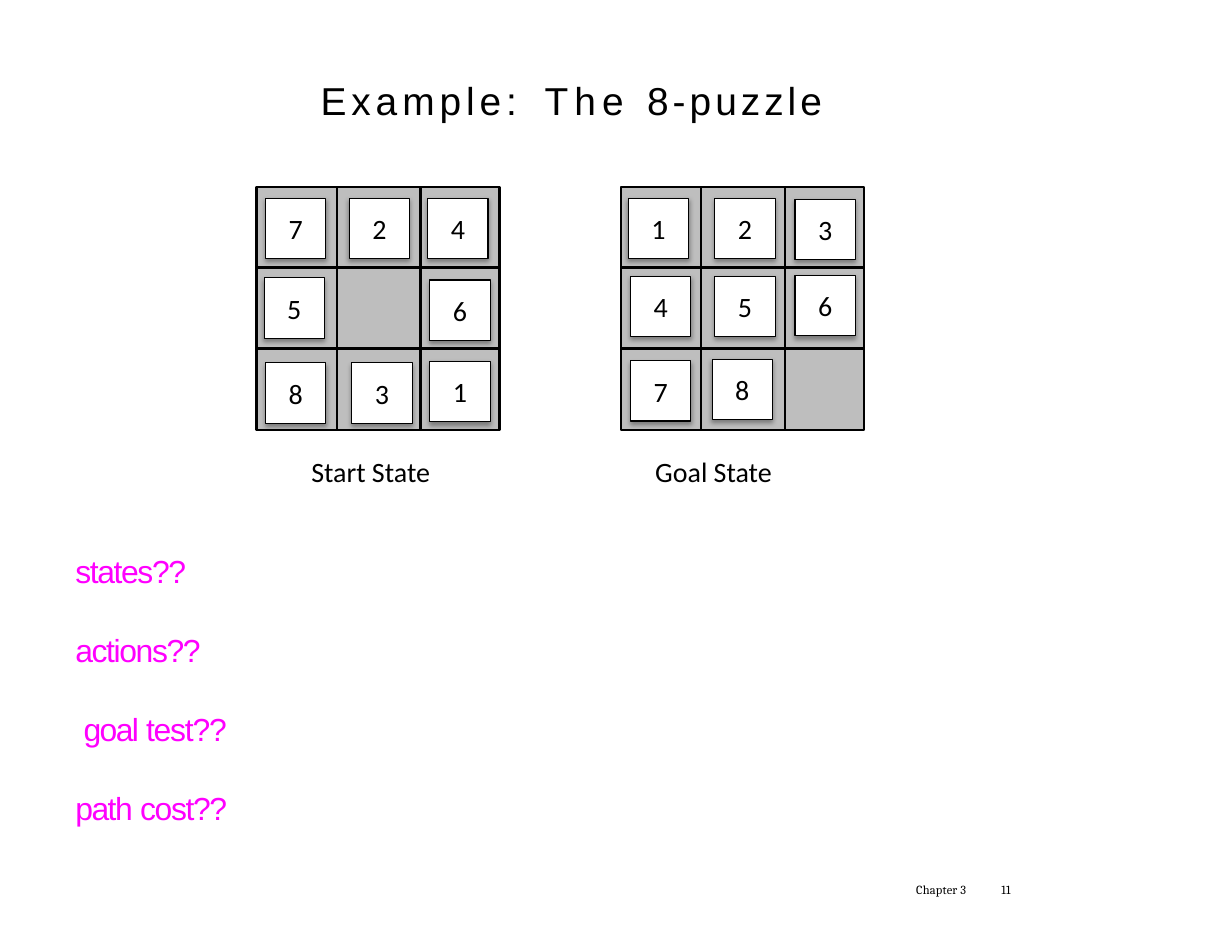
from lxml import etree
from pptx import Presentation
from pptx.dml.color import RGBColor
from pptx.enum.shapes import MSO_CONNECTOR, MSO_SHAPE
from pptx.enum.text import MSO_ANCHOR, PP_ALIGN
from pptx.oxml.ns import qn
from pptx.util import Cm, Pt


def paint(color_format, value):
    color_format.rgb = RGBColor.from_string(value)


def add_span(para, text, font, size, color="000000", spacing=0):
    span = para.add_run()
    span.text = text
    span.font.name = font
    span.font.size = Pt(size)
    paint(span.font.color, color)
    if spacing:
        span._r.get_or_add_rPr().set("spc", str(round(spacing * 100)))


deck = Presentation()
deck.slide_width = Cm(27.94)
deck.slide_height = Cm(21.59)
page = deck.slides.add_slide(deck.slide_layouts[6])
shapes = page.shapes

title = shapes.add_shape(MSO_SHAPE.RECTANGLE, Cm(1.73), Cm(1.93), Cm(21.44), Cm(3.61))
title.shadow.inherit = False
title.fill.background()
paint(title.line.color, "FFFFFF")
title.line.width = Pt(4.08)
frame = title.text_frame
frame.margin_left = frame.margin_top = frame.margin_right = frame.margin_bottom = 0
frame.vertical_anchor = MSO_ANCHOR.TOP
para = frame.paragraphs[0]
para.alignment = PP_ALIGN.LEFT
para.line_spacing = Pt(24.3)
para._p.get_or_add_pPr().set("marL", str(Cm(5.54)))
for text, spacing in [("Example:\t", 3.2), ("The ", 4), ("8-puzzle", 2.6)]:
    add_span(para, text, "Arial", 25, spacing=spacing)

board_top, board_side, tile_side = 4.24, 5.51, 1.37
boards = [
    (5.82, "Start State", 6.81, [
        ("7", 6.02, 4.5), ("2", 7.92, 4.5), ("4", 9.7, 4.5),
        ("5", 5.99, 6.3), ("6", 9.75, 6.35),
        ("8", 6.02, 8.23), ("3", 7.98, 8.23), ("1", 9.75, 8.2),
    ]),
    (14.08, "Goal State", 14.61, [
        ("1", 14.25, 4.5), ("2", 16.21, 4.5), ("3", 18.03, 4.52),
        ("4", 14.3, 6.27), ("5", 16.21, 6.27), ("6", 18.03, 6.25),
        ("7", 14.3, 8.18), ("8", 16.15, 8.15),
    ]),
]

for board_left, label, label_left, tiles in boards:
    board = shapes.add_shape(
        MSO_SHAPE.RECTANGLE, Cm(board_left), Cm(board_top), Cm(board_side), Cm(board_side)
    )
    board.shadow.inherit = False
    board.fill.solid()
    paint(board.fill.fore_color, "BEBEBE")
    paint(board.line.color, "000000")
    board.line.width = Pt(1.53)

    right, bottom = board_left + board_side, board_top + board_side
    dividers = [(board_left + x, board_top, board_left + x, bottom) for x in (1.82, 3.72)]
    dividers += [(board_left, board_top + y, right, board_top + y) for y in (1.83, 3.66)]
    for ends in dividers:
        divider = shapes.add_connector(MSO_CONNECTOR.STRAIGHT, *[Cm(end) for end in ends])
        paint(divider.line.color, "000000")
        divider.line.width = Pt(1.53)
        etree.SubElement(divider._element.spPr, qn("a:effectLst"))

    for number, left, top in tiles:
        tile = shapes.add_shape(
            MSO_SHAPE.RECTANGLE, Cm(left), Cm(top), Cm(tile_side), Cm(tile_side)
        )
        tile.fill.solid()
        paint(tile.fill.fore_color, "FFFFFF")
        paint(tile.line.color, "000000")
        tile.line.width = Pt(0.75)
        tile.shadow.inherit = False
        effects = tile._element.spPr.find(qn("a:effectLst"))
        shadow = etree.SubElement(
            effects, qn("a:outerShdw"),
            blurRad=str(Pt(3.1)), dist=str(Pt(1.8)), dir="5400000", rotWithShape="0",
        )
        shade = etree.SubElement(shadow, qn("a:srgbClr"), val="000000")
        etree.SubElement(shade, qn("a:alpha"), val="35000")
        tile.text_frame.vertical_anchor = MSO_ANCHOR.MIDDLE
        para = tile.text_frame.paragraphs[0]
        para.alignment = PP_ALIGN.CENTER
        add_span(para, number, "Calibri", 18)

    caption = shapes.add_textbox(Cm(label_left), Cm(10.19), Cm(3.2), Cm(1.02))
    caption.text_frame.word_wrap = False
    add_span(caption.text_frame.paragraphs[0], label, "Calibri", 18)

questions = shapes.add_textbox(Cm(1.68), Cm(12.5), Cm(11.96), Cm(6.12))
frame = questions.text_frame
frame.word_wrap = True
frame.margin_left = frame.margin_top = frame.margin_right = frame.margin_bottom = 0
lines = [
    (0.03, [("states??", -0.9)]),
    (0.03, [("actions??", -0.9)]),
    (0.22, [("goal ", -1.1), ("test??", -0.8)]),
    (0.03, [("path ", -1), ("cost??", -0.9)]),
]
for index, (indent, spans) in enumerate(lines):
    para = frame.add_paragraph() if index else frame.paragraphs[0]
    para.line_spacing = 1.01
    para.space_before = Pt(25.9 if index else 0)
    para._p.get_or_add_pPr().set("marL", str(Cm(indent)))
    for text, spacing in spans:
        add_span(para, text, "Arial", 20.5, "FF00FF", spacing)

for text, left, width, indent in [("Chapter 3", 20.75, 1.37, 0.03), ("11", 22.63, 0.43, 0.08)]:
    footer = shapes.add_textbox(Cm(left), Cm(20.04), Cm(width), Cm(0.4))
    frame = footer.text_frame
    frame.word_wrap = True
    frame.margin_left = frame.margin_top = frame.margin_right = frame.margin_bottom = 0
    para = frame.paragraphs[0]
    para.line_spacing = Pt(8.8)
    para._p.get_or_add_pPr().set("marL", str(Cm(indent)))
    add_span(para, text, "Cambria", 8, spacing=0.1)

deck.save("out.pptx")
